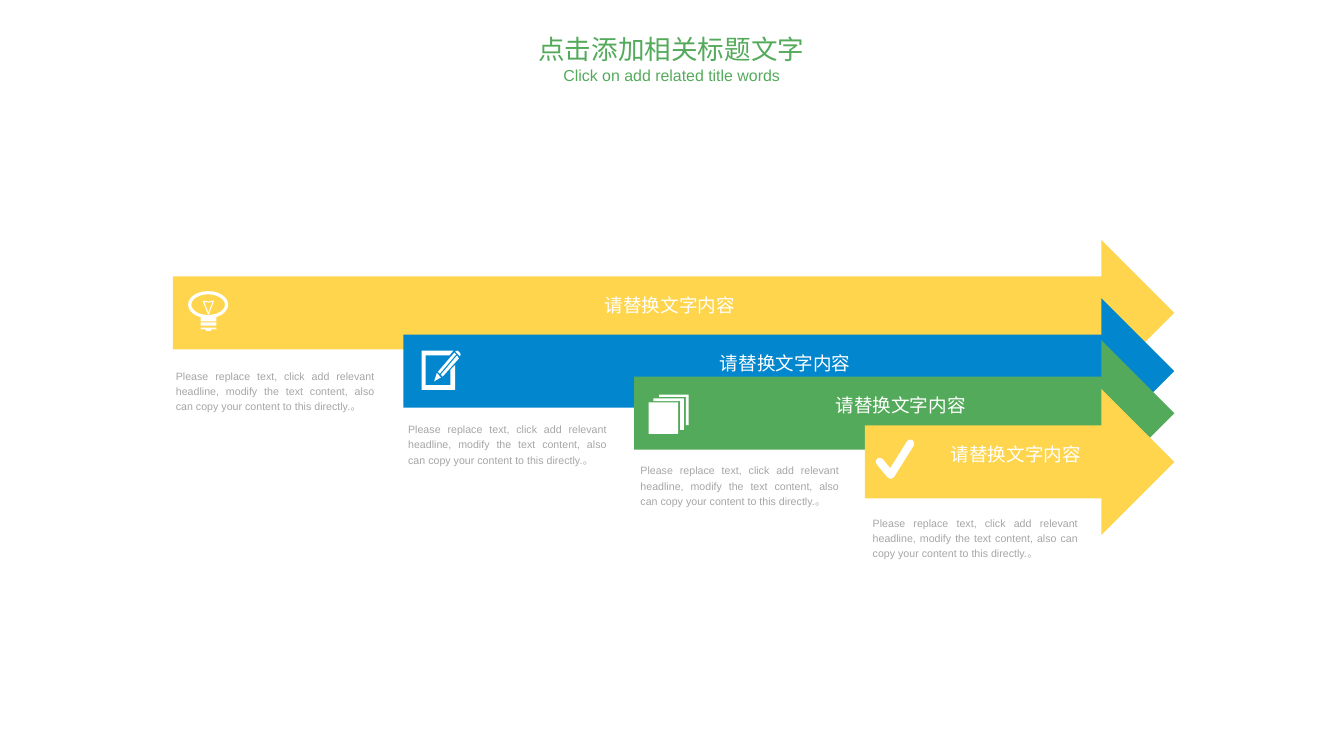
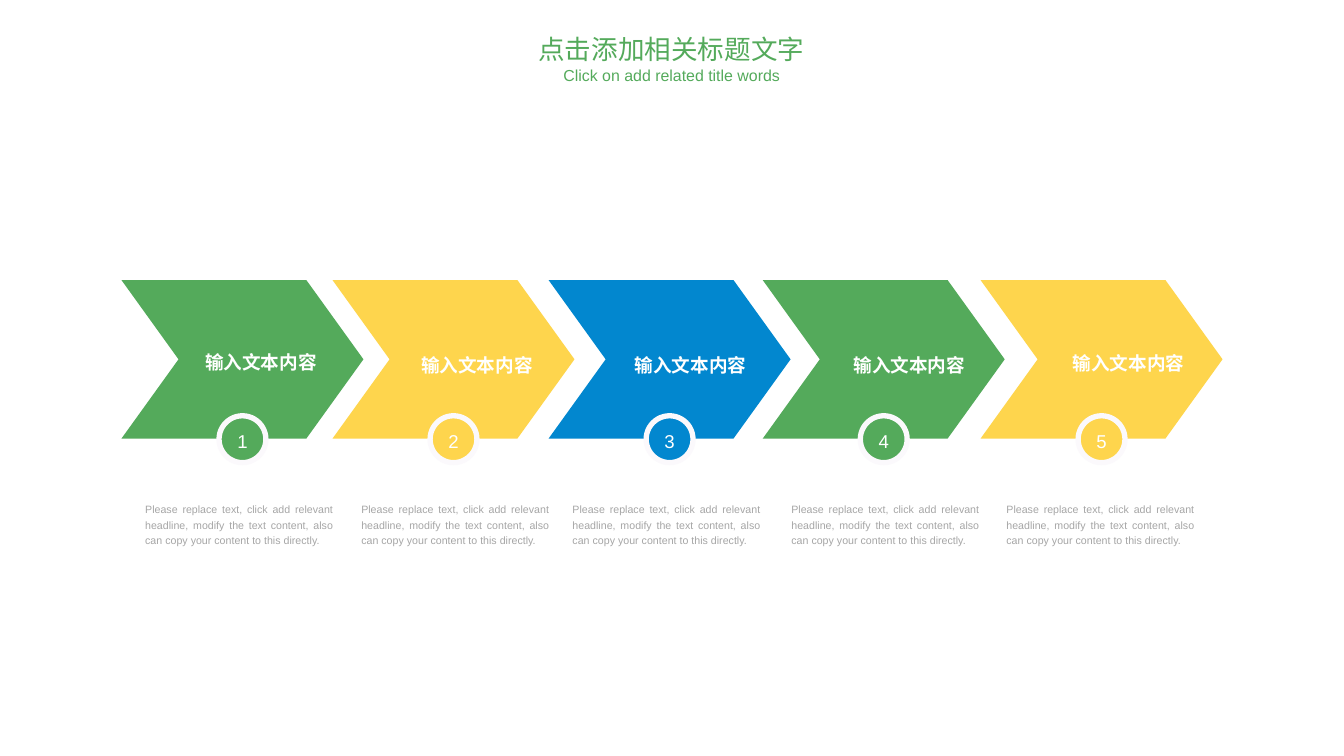
from dataclasses import dataclass

from lxml.etree import SubElement
from pptx import Presentation
from pptx.dml.color import RGBColor
from pptx.enum.shapes import MSO_SHAPE as SHAPE
from pptx.enum.text import MSO_ANCHOR as ANCHOR, MSO_AUTO_SIZE as AUTO, PP_ALIGN as ALIGN
from pptx.oxml.ns import qn
from pptx.util import Pt


@dataclass(frozen=True)
class Theme:
    green: str = "54AA5B"
    yellow: str = "FED54D"
    blue: str = "0287CF"
    white: str = "FFFFFF"
    ring: str = "FBF9FC"
    gray: str = "A6A6A6"
    latin: str = "Arial"
    cjk: str = "Noto Sans CJK SC"
    title: int = 20
    subtitle: int = 12
    label: int = 14
    body: int = 8


T = Theme()
WIDTH, HEIGHT = 1012.5, 569.5

TITLE = "点击添加相关标题文字"
SUBTITLE = "Click on add related title words"
BODY = ("Please replace text, click add relevant headline, modify the text content, "
        "also can copy your content to this directly.")
ARROW_LABEL = "请替换文字内容"
STEP_LABEL = "输入文本内容"

BULB = [
    ("ring", (1.2, 0.9, 27.8, 18), 2.4),
    ("rect", (9.4, 19.3, 12, 3.2), 0),
    ("rect", (9.4, 23.2, 12, 2.6), 0),
    ("poly", [(9.4, 27.2), (21.4, 27.2), (21.4, 28.6), (17.4, 28.6),
              (17.4, 29.6), (13.4, 29.6), (13.4, 28.6), (9.4, 28.6)], 0),
    ("outline", [(11.5, 7.2), (15.3, 8), (19.1, 7.2), (15.3, 17)], 0.8),
]
PENCIL = [
    ("poly", [(21.6, 26.6), (2.9, 26.6), (2.9, 4.3), (20.9, 4.3), (23.8, 0.7),
              (0, 0.7), (0, 30.2), (25.2, 30.2), (25.2, 11.5), (21.6, 15.1)], 0),
    ("poly", [(14.4, 20.9), (11.5, 17.3), (9.4, 23.8)], 0),
    ("poly", [(24.5, 2.2), (12.2, 16.6), (13.7, 18), (25.9, 3.6)], 0),
    ("poly", [(14.4, 18.7), (15.8, 20.2), (28.1, 6.5), (26.6, 4.3)], 0),
    ("poly", [(25.2, 1.4), (26.6, 0.6), (28.1, 1.4), (29.3, 3.3), (28.8, 5)], 0),
]
SHEETS = [
    ("poly", [(7.9, 0), (30.2, 0), (30.2, 23), (28.1, 23), (28.1, 1.7), (7.9, 1.7)], 0),
    ("poly", [(3.6, 2.9), (26.6, 2.9), (26.6, 26.6), (23.8, 26.6), (23.8, 5), (3.6, 5)], 0),
    ("rect", (0, 5.8, 22.3, 23.8), 0),
]
CHECK = [("stroke", [(3.2, 16.6), (11.5, 26.6), (26.3, 2.9)], 6)]

# arrow top, colour, text top, text width, icon offset, icon parts
ARROWS = [
    (180.7, T.yellow, 272.9, 165.6, (11.5, 38.9), BULB),
    (224.6, T.blue, 313.2, 165.6, (13.7, 38.9), PENCIL),
    (256.3, T.green, 344.2, 165.6, (10.8, 41), SHEETS),
    (293, T.yellow, 383.8, 170.6, (7.9, 38.2), CHECK),
]
ARROW_LEFT, ARROW_STEP, ARROW_RIGHT, ARROW_H = 130.2, 173.8, 884.7, 110
NOTE_LEFT, NOTE_STEP = 124.6, 175

# chevron left, colour, label centre x and y, text left
STEPS = [
    (91.5, T.green, 196.6, 271.4, 109.4),
    (250.5, T.yellow, 359.3, 273.2, 272.2),
    (413.3, T.blue, 520.2, 273.2, 431.3),
    (574.6, T.green, 685.1, 273.2, 596.2),
    (738.7, T.yellow, 850.3, 272, 758.2),
]
CHEVRON_TOP, CHEVRON_W, CHEVRON_H = 211, 182.3, 119.4
BADGE_TOP, BADGE = 313.2, 35.3


def rgb(code):
    return RGBColor.from_string(code)


def place(sp, *box):
    sp.left, sp.top, sp.width, sp.height = (Pt(v) for v in box)


def write(sp, text, size, color, align=ALIGN.CENTER, font=T.latin, bold=False,
          spacing=1.2, before=0, after=0, insets=(0, 0, 0, 0),
          anchor=ANCHOR.MIDDLE, wrap=True):
    tf = sp.text_frame
    tf.auto_size, tf.word_wrap, tf.vertical_anchor = AUTO.NONE, wrap, anchor
    tf.margin_left, tf.margin_top, tf.margin_right, tf.margin_bottom = (Pt(v) for v in insets)
    p = tf.paragraphs[0]
    p.alignment, p.line_spacing = align, spacing
    p.space_before, p.space_after = Pt(before), Pt(after)
    r = p.add_run()
    r.text = text
    f = r.font
    f.size, f.name, f.bold = Pt(size), font, bold
    f.color.rgb = rgb(color)
    SubElement(f._element, qn("a:ea")).set("typeface", T.cjk)


def paint(sp, fill=None, line=None, width=0):
    sp.shadow.inherit = False
    if fill:
        sp.fill.solid()
        sp.fill.fore_color.rgb = rgb(fill)
    else:
        sp.fill.background()
    if line:
        sp.line.color.rgb = rgb(line)
        sp.line.width = Pt(width)
    else:
        sp.line.fill.background()
    return sp


def shape(s, kind, box, **look):
    return paint(s.shapes.add_shape(kind, *(Pt(v) for v in box)), **look)


def text_box(s, box, *args, **style):
    write(s.shapes.add_textbox(*(Pt(v) for v in box)), *args, **style)


def note(s, box, text, insets=(0, 0, 0, 0)):
    text_box(s, box, text, T.body, T.gray, align=ALIGN.JUSTIFY,
             insets=insets, anchor=ANCHOR.TOP)


def icon(s, x, y, parts):
    made = []
    for kind, geo, width in parts:
        look = dict(line=T.white, width=width) if width else dict(fill=T.white)
        if kind in ("rect", "ring"):
            preset = SHAPE.OVAL if kind == "ring" else SHAPE.RECTANGLE
            left, top, w, h = geo
            sp = shape(s, preset, (x + left, y + top, w, h), **look)
        else:
            points = [(Pt(x + px), Pt(y + py)) for px, py in geo]
            fb = s.shapes.build_freeform(*points[0], scale=1.0)
            fb.add_line_segments(points[1:], close=kind != "stroke")
            sp = paint(fb.convert_to_shape(), **look)
        if kind == "stroke":
            ln = sp._element.spPr.find(qn("a:ln"))
            ln.set("cap", "rnd")
            SubElement(ln, qn("a:round"))
        made.append(sp)
    if len(made) > 1:
        s.shapes.add_group_shape(made)


def new_slide(prs):
    s = prs.slides.add_slide(prs.slide_layouts[0])
    heads = [
        ((385.2, 20.9, 241.2, 29.5), TITLE, T.title, T.cjk),
        ((414.7, 46.1, 182.9, 29.5), SUBTITLE, T.subtitle, T.latin),
    ]
    for sp, (box, text, size, font) in zip(s.placeholders, heads):
        place(sp, *box)
        write(sp, text, size, T.green, font=font, spacing=1.0, before=size * 0.2,
              after=6, insets=(7.9, 3.6, 7.9, 3.6), anchor=ANCHOR.TOP)
    return s


def arrows_slide(prs):
    s = new_slide(prs)
    for i, (top, color, note_top, note_w, (dx, dy), parts) in enumerate(ARROWS):
        left = ARROW_LEFT + i * ARROW_STEP
        note(s, (NOTE_LEFT + i * NOTE_STEP, note_top, note_w, 41.8), BODY + "。",
             insets=(7.9, 3.6, 7.9, 3.6))
        sp = shape(s, SHAPE.RIGHT_ARROW, (left, top, ARROW_RIGHT - left, ARROW_H), fill=color)
        write(sp, ARROW_LABEL, T.label, T.white, insets=(42, 2, 20, 17))
        icon(s, left + dx, top + dy, parts)


def steps_slide(prs):
    s = new_slide(prs)
    for number, (left, color, label_x, label_y, note_left) in enumerate(STEPS, 1):
        sp = shape(s, SHAPE.CHEVRON, (left, CHEVRON_TOP, CHEVRON_W, CHEVRON_H), fill=color)
        sp.adjustments[0] = 0.36
        text_box(s, (label_x - 60, label_y - 9, 120, 18), STEP_LABEL,
                 T.label, T.white, bold=True)
        badge_left = left + (CHEVRON_W - BADGE) / 2
        sp = shape(s, SHAPE.OVAL, (badge_left, BADGE_TOP, BADGE, BADGE),
                   fill=color, line=T.ring, width=4)
        write(sp, str(number), T.label, T.white, wrap=False)
        note(s, (note_left, 377.3, 141.8, 33.8), BODY)


def main():
    prs = Presentation()
    prs.slide_width, prs.slide_height = Pt(WIDTH), Pt(HEIGHT)
    arrows_slide(prs)
    steps_slide(prs)
    prs.save("out.pptx")


if __name__ == "__main__":
    main()
